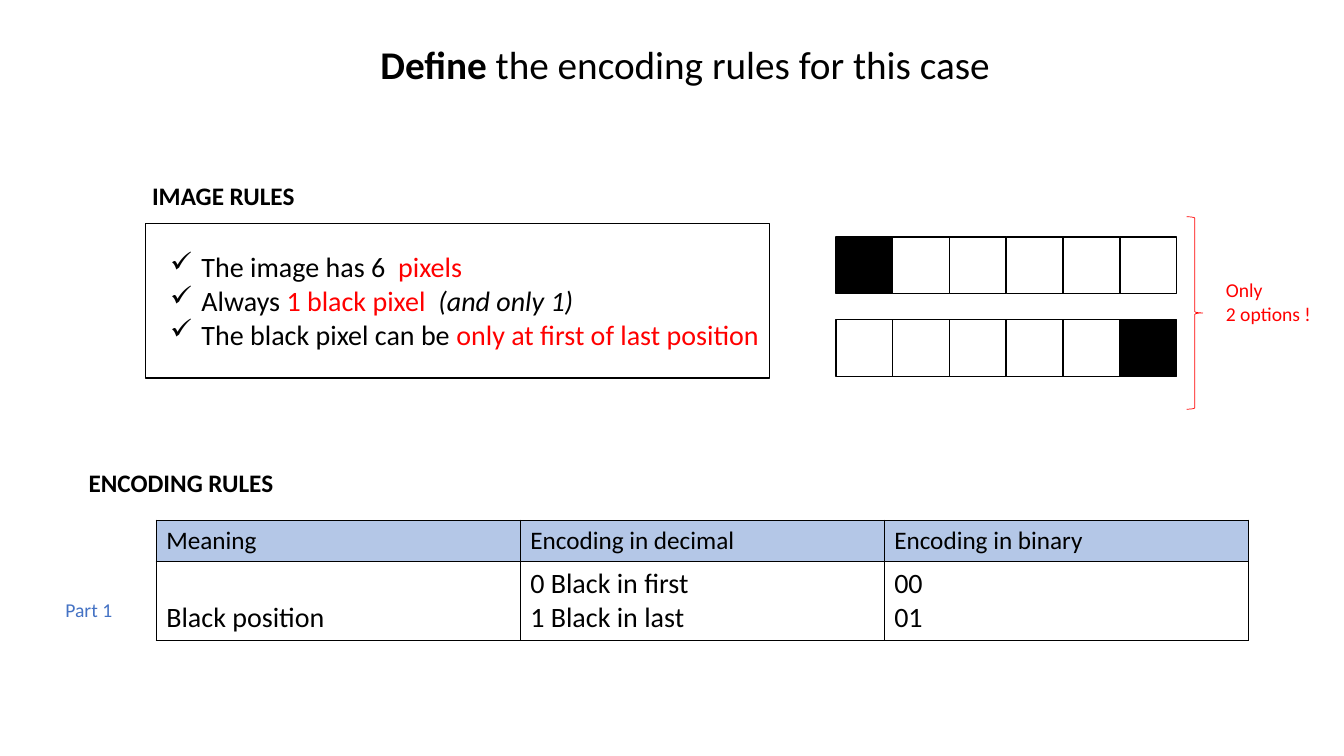
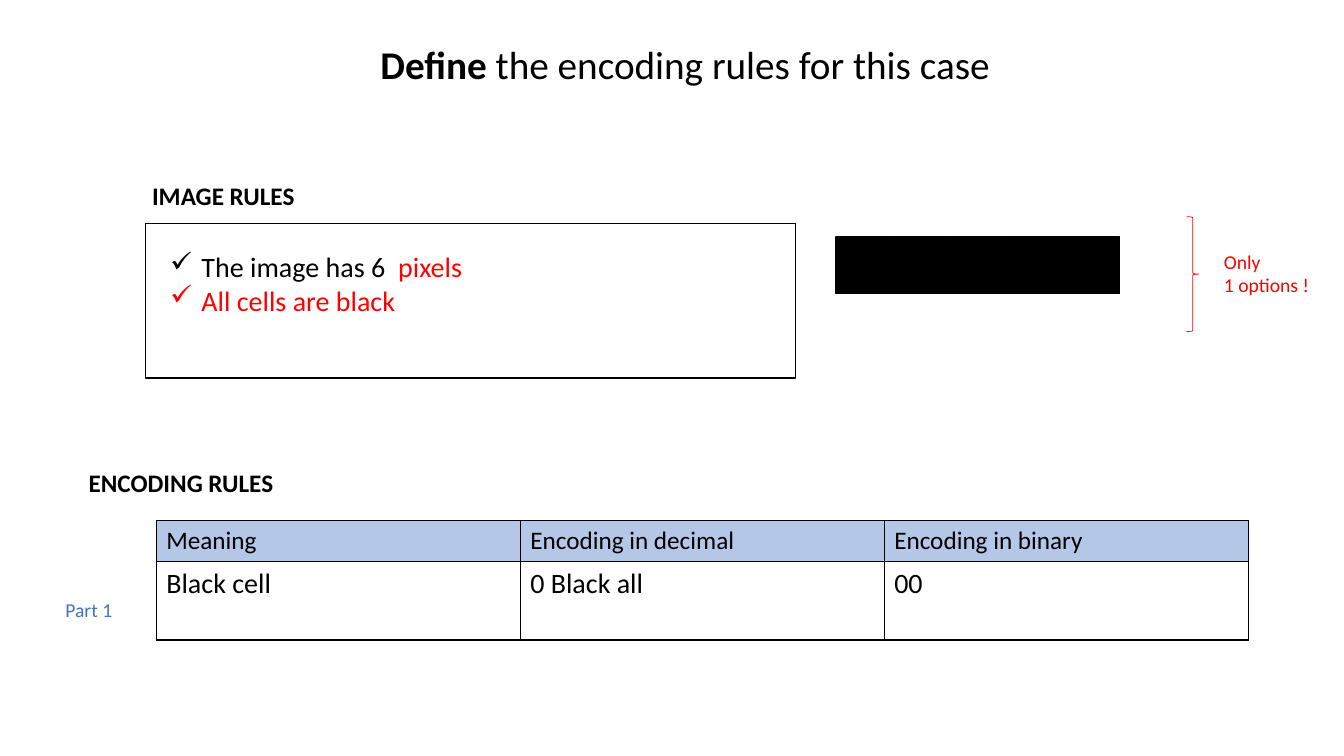
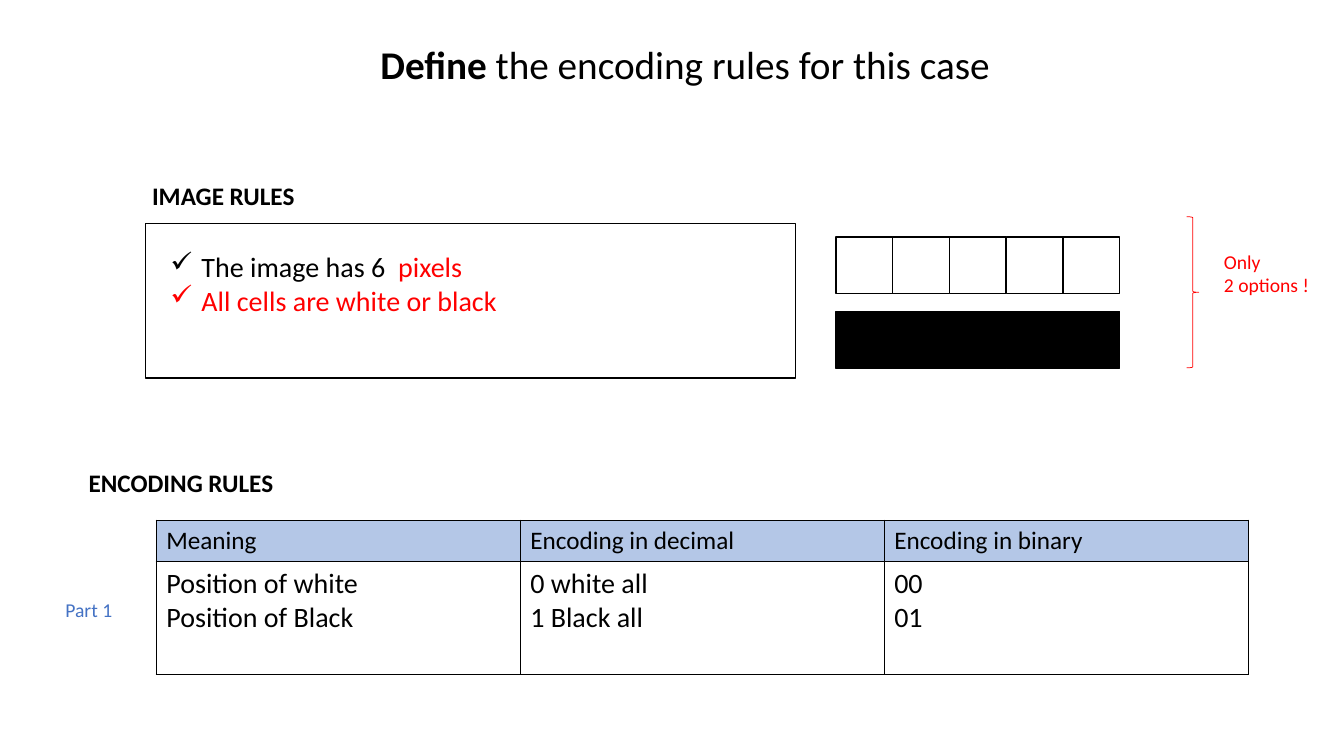
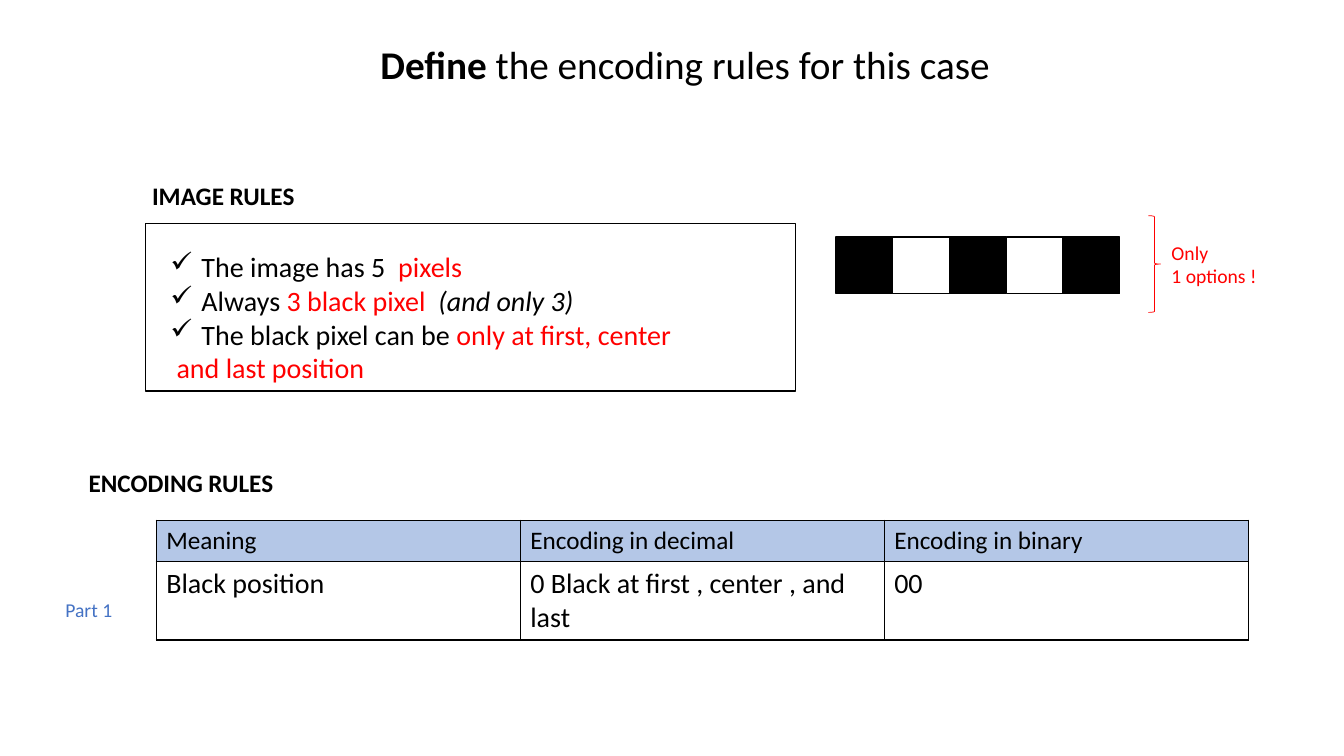
from dataclasses import dataclass
from typing import NamedTuple

from lxml.etree import SubElement
from pptx import Presentation
from pptx.dml.color import RGBColor
from pptx.enum.shapes import MSO_SHAPE as Preset
from pptx.enum.text import MSO_ANCHOR as Anchor
from pptx.enum.text import MSO_AUTO_SIZE as AutoSize
from pptx.enum.text import PP_ALIGN as Align
from pptx.oxml.ns import qn
from pptx.slide import Slide
from pptx.text.text import TextFrame
from pptx.util import Inches, Pt

# Shared style
COLORS = {
    "black": "000000",
    "white": "FFFFFF",
    "red": "FF0000",
    "blue": "4472C4",
    "header": "B4C7E7",
}
FONT = "Calibri"
BULLET_INDENT = 0.31

# Shared layout, in inches
PIXEL_LEFT, PIXEL_TOP = 8.29, 2.35
PIXEL_SIDE = 3.38 / 6
TABLE_LEFT, TABLE_TOP, COLUMN_WIDTH = 1.55, 5.16, 3.61
HEADER_HEIGHT = 0.41
HEADINGS = ("Meaning", "Encoding in decimal", "Encoding in binary")


class Box(NamedTuple):
    left: float
    top: float
    width: float
    height: float

    def lengths(self) -> list[Inches]:
        return [Inches(value) for value in self]


class Run(NamedTuple):
    text: str
    color: str = "black"
    bold: bool = False
    italic: bool = False


class Line(NamedTuple):
    runs: tuple[Run, ...]
    bullet: bool = False


@dataclass
class Case:
    """One encoding exercise; pixel rows are strings of B and W."""
    rules: list[Line]
    rules_box: Box
    frame: Box
    pixel_rows: list[str]
    brace: Box
    option_count: int
    note_at: tuple[float, float]
    cells: tuple[str, str, str]
    pixel_pitch: float = 0.74
    body_height: float = 0.78
    meaning_anchor: Anchor = Anchor.TOP


def rule(*runs: Run) -> Line:
    return Line(runs, bullet=True)


def plain(text: str, **style) -> list[Line]:
    """Turn each line of the text into one run."""
    return [Line((Run(part, **style),)) for part in text.split("\n")]


def rgb(name: str) -> RGBColor:
    return RGBColor.from_string(COLORS[name])


# Drawing helpers
def write_text(frame: TextFrame, lines: list[Line], *, size: float,
               align: Align = Align.LEFT) -> None:
    for index, line in enumerate(lines):
        paragraph = frame.add_paragraph() if index else frame.paragraphs[0]
        paragraph.alignment = align
        if line.bullet:
            properties = paragraph._p.get_or_add_pPr()
            properties.set("marL", str(Inches(BULLET_INDENT)))
            properties.set("indent", str(-Inches(BULLET_INDENT)))
            SubElement(properties, qn("a:buChar"), char="✓")
        for part in line.runs:
            run = paragraph.add_run()
            run.text = part.text
            run.font.name = FONT
            run.font.size = Pt(size)
            run.font.bold = part.bold
            run.font.italic = part.italic
            run.font.color.rgb = rgb(part.color)


def add_text(slide: Slide, box: Box, lines: list[Line], *, size: float,
             align: Align = Align.LEFT, wrap: bool = False) -> None:
    frame = slide.shapes.add_textbox(*box.lengths()).text_frame
    frame.word_wrap = wrap
    frame.auto_size = AutoSize.SHAPE_TO_FIT_TEXT
    write_text(frame, lines, size=size, align=align)


def add_outline(slide: Slide, preset: Preset, box: Box, *, fill: str | None = None,
                line: str = "black", width: float = 1) -> None:
    shape = slide.shapes.add_shape(preset, *box.lengths())
    shape.shadow.inherit = False
    shape.line.color.rgb = rgb(line)
    shape.line.width = Pt(width)
    if fill:
        shape.fill.solid()
        shape.fill.fore_color.rgb = rgb(fill)
    else:
        shape.fill.background()


def add_borders(cell) -> None:
    properties = cell._tc.get_or_add_tcPr()
    for side in ("lnL", "lnR", "lnT", "lnB"):
        border = SubElement(properties, qn(f"a:{side}"), w=str(Pt(1)))
        fill = SubElement(border, qn("a:solidFill"))
        SubElement(fill, qn("a:srgbClr"), val=COLORS["black"])


def add_encoding_table(slide: Slide, case: Case) -> None:
    box = Box(TABLE_LEFT, TABLE_TOP, COLUMN_WIDTH * len(HEADINGS),
              HEADER_HEIGHT + case.body_height)
    table = slide.shapes.add_table(2, len(HEADINGS), *box.lengths()).table
    table.first_row = table.horz_banding = False
    table.rows[0].height = Inches(HEADER_HEIGHT)
    table.rows[1].height = Inches(case.body_height)
    for row, (texts, size) in enumerate(((HEADINGS, 18), (case.cells, 20))):
        for column, text in enumerate(texts):
            cell = table.cell(row, column)
            add_borders(cell)
            if row == 0:
                cell.fill.solid()
                cell.fill.fore_color.rgb = rgb("header")
            else:
                cell.fill.background()
            write_text(cell.text_frame, plain(text), size=size)
    table.cell(1, 0).vertical_anchor = case.meaning_anchor


def add_pixels(slide: Slide, case: Case) -> None:
    for row, pixels in enumerate(case.pixel_rows):
        for column, pixel in enumerate(pixels):
            box = Box(PIXEL_LEFT + column * PIXEL_SIDE,
                      PIXEL_TOP + row * case.pixel_pitch, PIXEL_SIDE, PIXEL_SIDE)
            add_outline(slide, Preset.RECTANGLE, box,
                        fill="black" if pixel == "B" else "white")


def build_slide(slide: Slide, case: Case) -> None:
    add_encoding_table(slide, case)
    add_text(slide, Box(0.55, 5.88, 0.67, 0.34), plain("Part 1", color="blue"), size=14)
    # Title and headings
    title = Line((Run("Define", bold=True), Run(" the encoding rules for this case")))
    add_text(slide, Box(3, 0.35, 7.59, 0.57), [title], size=28,
             align=Align.CENTER, wrap=True)
    add_text(slide, Box(0.78, 4.59, 2.06, 0.4),
             plain("ENCODING RULES", bold=True), size=18)
    add_text(slide, Box(1.41, 1.74, 1.63, 0.4),
             plain("IMAGE RULES", bold=True), size=18)
    # Rules in their frame
    add_text(slide, case.rules_box, case.rules, size=20)
    add_outline(slide, Preset.RECTANGLE, case.frame)
    # Possible images
    add_pixels(slide, case)
    add_outline(slide, Preset.RIGHT_BRACE, case.brace, line="red", width=0.5)
    add_text(slide, Box(*case.note_at, 1.05, 0.57),
             plain(f"Only\n{case.option_count} options !", color="red"), size=14)


# Slide contents
SIX_PIXELS = rule(Run("The image has 6  "), Run("pixels", "red"))
WIDE_FRAME = Box(1.44, 2.22, 6.45, 1.53)

CASES = [
    Case(
        rules=[
            SIX_PIXELS,
            rule(Run("Always "), Run("1 black pixel  ", "red"),
                 Run("(and only 1)", italic=True)),
            rule(Run("The black pixel can be "),
                 Run("only at first of last position", "red")),
        ],
        rules_box=Box(1.59, 2.43, 6.1, 1.11),
        frame=Box(1.44, 2.22, 6.19, 1.53),
        pixel_rows=["BWWWWW", "WWWWWB"],
        pixel_pitch=0.82,
        brace=Box(11.77, 2.15, 0.16, 1.91),
        option_count=2,
        note_at=(12.06, 2.71),
        cells=("Black position", "0 Black in first\n1 Black in last", "00\n01"),
        meaning_anchor=Anchor.BOTTOM,
    ),
    Case(
        rules=[SIX_PIXELS, rule(Run("All cells are black", "red"))],
        rules_box=Box(1.59, 2.43, 3.13, 0.77),
        frame=WIDE_FRAME,
        pixel_rows=["BBBBB"],
        brace=Box(11.77, 2.15, 0.12, 1.14),
        option_count=1,
        note_at=(12.04, 2.43),
        cells=("Black cell", "0 Black all", "00"),
    ),
    Case(
        rules=[SIX_PIXELS, rule(Run("All cells are white or black", "red"))],
        rules_box=Box(1.59, 2.43, 3.48, 0.77),
        frame=WIDE_FRAME,
        pixel_rows=["WWWWW", "BBBBB"],
        brace=Box(11.77, 2.15, 0.12, 1.5),
        option_count=2,
        note_at=(12.04, 2.43),
        cells=("Position of white\nPosition of Black",
               "0 white all\n1 Black all", "00\n01"),
        body_height=1.12,
    ),
    Case(
        rules=[
            rule(Run("The image has 5  "), Run("pixels", "red")),
            rule(Run("Always "), Run("3 black pixel  ", "red"),
                 Run("(and only 3)", italic=True)),
            rule(Run("The black pixel can be "),
                 Run("only at first, center", "red")),
            Line((Run(" and last position", "red"),)),
        ],
        rules_box=Box(1.59, 2.43, 5.22, 1.45),
        frame=Box(1.44, 2.22, 6.45, 1.66),
        pixel_rows=["BWBWB"],
        brace=Box(11.39, 2.14, 0.12, 0.96),
        option_count=1,
        note_at=(11.52, 2.34),
        cells=("Black position", "0 Black at first , center , and last", "00"),
    ),
]


def main() -> None:
    presentation = Presentation()
    presentation.slide_width = Inches(13.33)
    presentation.slide_height = Inches(7.5)
    blank = presentation.slide_layouts[6]
    for case in CASES:
        build_slide(presentation.slides.add_slide(blank), case)
    presentation.save("out.pptx")


if __name__ == "__main__":
    main()
